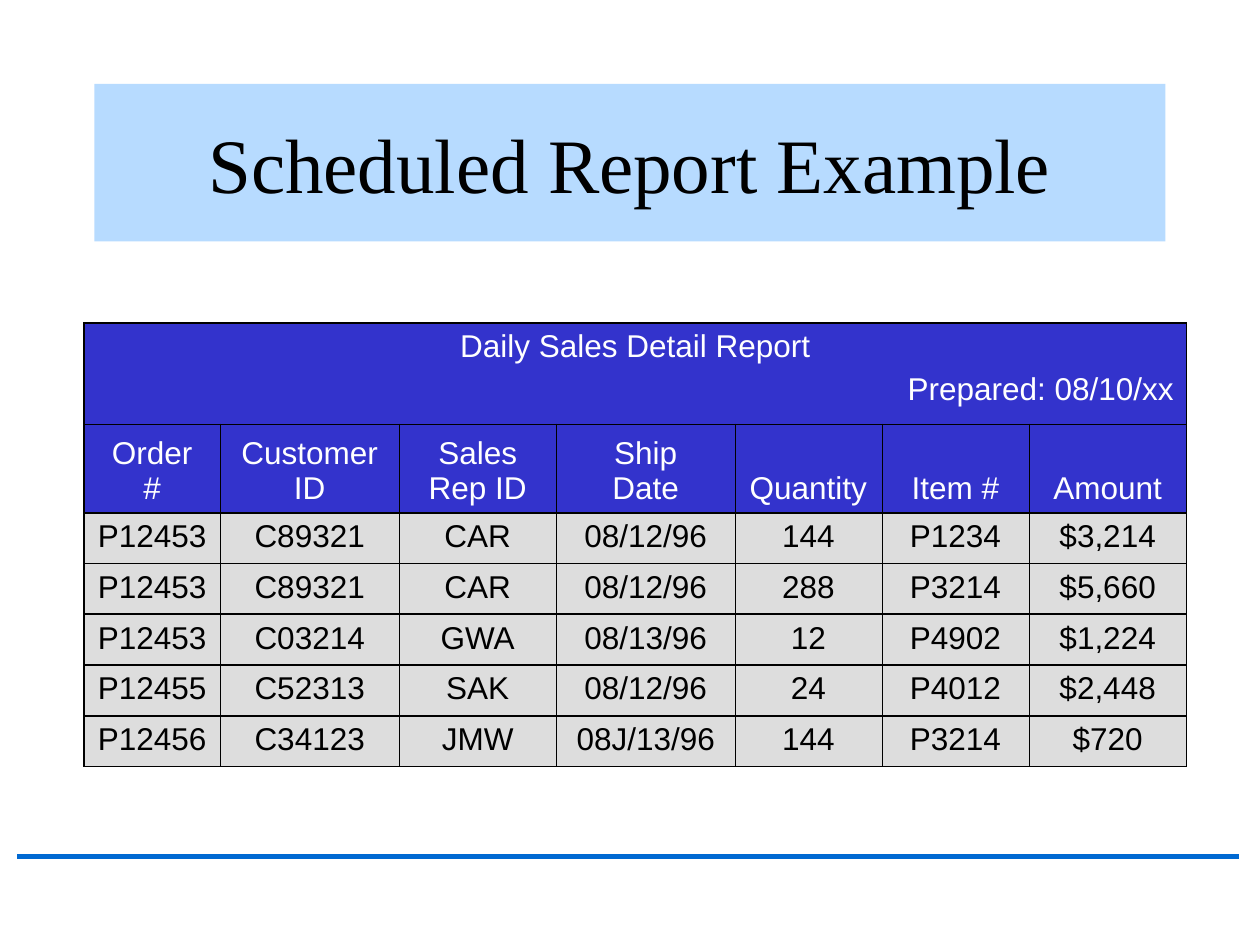
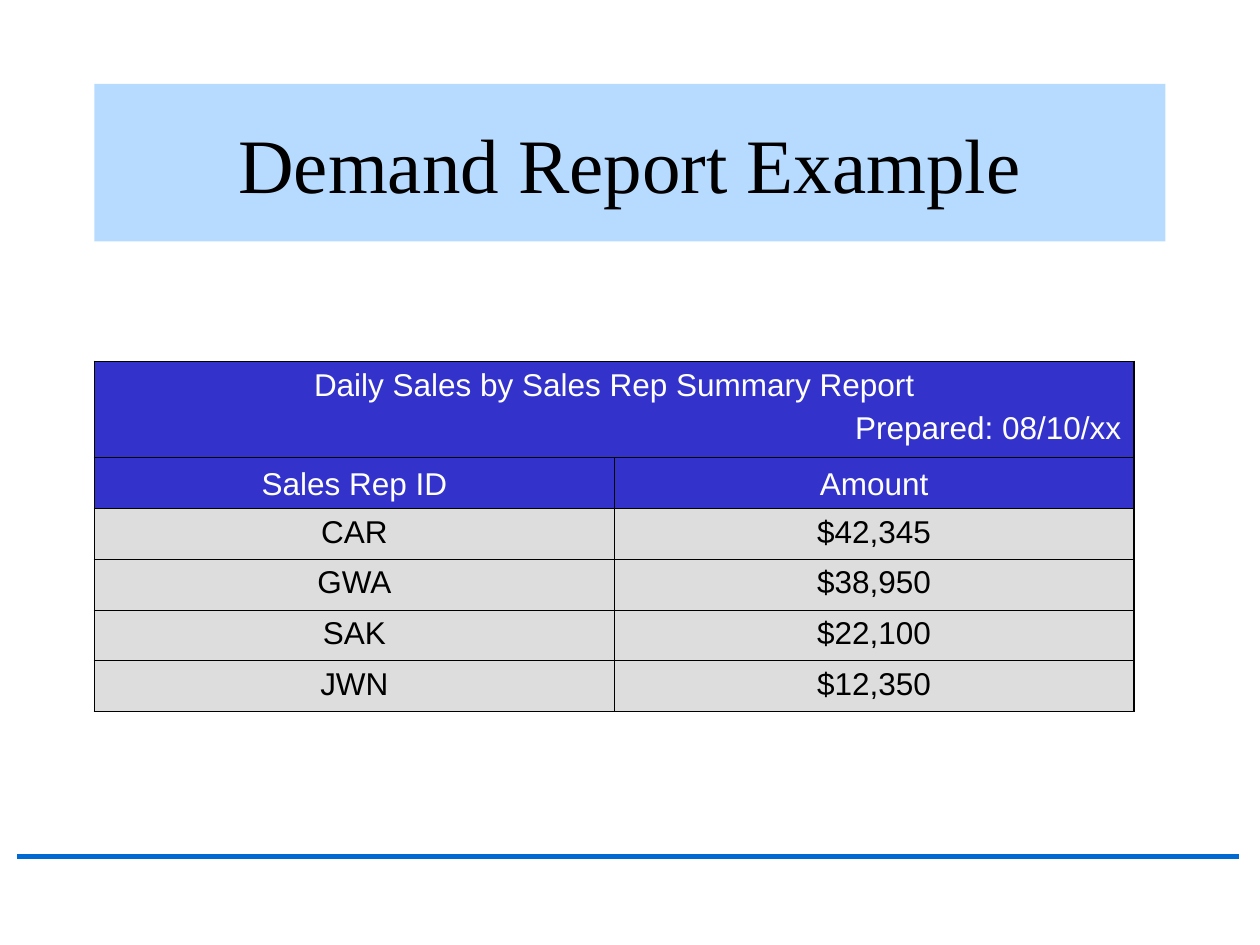
"""Build two slides that show a scheduled and a demand sales report."""
from dataclasses import dataclass

from lxml.etree import SubElement
from pptx import Presentation
from pptx.dml.color import RGBColor as RGB
from pptx.enum.shapes import MSO_CONNECTOR as Connector, MSO_SHAPE as Preset
from pptx.enum.text import MSO_ANCHOR as Anchor, PP_ALIGN as Align
from pptx.oxml.ns import qn
from pptx.util import Pt


@dataclass(frozen=True)
class Theme:
    """Colours, fonts, type sizes and rule widths of the presentation."""
    ink: str = "000000"
    paper: str = "FFFFFF"
    title_band: str = "B7DBFF"
    footer_rule: str = "0069D2"
    heading: str = "3333CC"
    body: str = "DDDDDD"
    title_font: str = "Times New Roman"
    table_font: str = "Arial"
    title_size: float = 44
    table_size: float = 18
    space_before: float = 4.5
    thick: float = 1.08
    thin: float = 0.45


def write(paragraph, text, *, font, size, color, align=Align.CENTER, before=0):
    """Fill a paragraph with formatted text; a newline makes a line break."""
    paragraph.text = text
    paragraph.alignment = align
    paragraph.space_before = Pt(before)
    for run in paragraph.runs:
        run.font.name = font
        run.font.size = Pt(size)
        run.font.color.rgb = RGB.from_string(color)


def rule_cell(cell, color, widths):
    """Draw the cell borders from a mapping of side to width."""
    properties = cell._tc.get_or_add_tcPr()
    for side in "LRTB":
        border = SubElement(properties, qn(f"a:ln{side}"), w=str(Pt(widths[side])))
        SubElement(SubElement(border, qn("a:solidFill")), qn("a:srgbClr"), val=color)


class ReportDeck:
    """Holds the style and the current slide."""

    def __init__(self, theme):
        """Start an empty 10 by 7.5 inch presentation."""
        self.theme = theme
        self.deck = Presentation()
        self.deck.slide_width, self.deck.slide_height = Pt(720), Pt(540)

    def start(self, title):
        """Add a slide with the shared footer rule and title band."""
        self.slide = self.deck.slides.add_slide(self.deck.slide_layouts[6])
        self.footer()
        self.title(title)

    def footer(self):
        """Draw the rule at the foot of the slide."""
        rule = self.slide.shapes.add_connector(
            Connector.STRAIGHT, Pt(10), Pt(489.5), Pt(708), Pt(489.5))
        rule.line.color.rgb = RGB.from_string(self.theme.footer_rule)
        rule.line.width = Pt(3)
        SubElement(rule._element.spPr, qn("a:effectLst"))

    def title(self, text):
        """Draw the title on its band."""
        theme = self.theme
        band = self.slide.shapes.add_shape(
            Preset.RECTANGLE, Pt(54), Pt(48), Pt(612), Pt(90))
        band.shadow.inherit = False
        band.fill.solid()
        band.fill.fore_color.rgb = RGB.from_string(theme.title_band)
        band.line.fill.background()
        band.text_frame.word_wrap = True
        band.text_frame.vertical_anchor = Anchor.MIDDLE
        write(band.text_frame.paragraphs[0], text, font=theme.title_font,
              size=theme.title_size, color=theme.ink)

    def report(self, caption, prepared, rows, *, left, top, widths, heights, row_rule):
        """Draw a report: a caption across all columns, headings, then data."""
        count, last = len(rows) + 1, len(widths) - 1
        table = self.slide.shapes.add_table(
            count, len(widths), Pt(left), Pt(top), Pt(sum(widths)), Pt(sum(heights))).table
        table.first_row = table.horz_banding = False
        for column, width in zip(table.columns, widths):
            column.width = Pt(width)
        for row, height in zip(table.rows, heights):
            row.height = Pt(height)
        table.cell(0, 0).merge(table.cell(0, last))
        thick, thin = self.theme.thick, self.theme.thin
        for r in range(count):
            for c in range(len(widths)):
                self.cell(table.cell(r, c), heading=r < 2, widths={
                    "L": thick if c == 0 else thin,
                    "R": thick if c == last or r == 0 else thin,
                    "T": thick if r == 0 else row_rule,
                    "B": thick if r == count - 1 else row_rule})
        self.entry(table.cell(0, 0), caption, heading=True)
        self.entry(table.cell(0, 0), prepared, heading=True, align=Align.RIGHT)
        for r, values in enumerate(rows, 1):
            for c, value in enumerate(values):
                self.entry(table.cell(r, c), value, heading=r == 1)
                if r == 1:
                    table.cell(r, c).vertical_anchor = Anchor.BOTTOM

    def cell(self, cell, *, heading, widths):
        """Give a cell its borders and fill."""
        rule_cell(cell, self.theme.ink, widths)
        cell.fill.solid()
        cell.fill.fore_color.rgb = RGB.from_string(
            self.theme.heading if heading else self.theme.body)

    def entry(self, cell, text, *, heading, align=Align.CENTER):
        """Write a line in a cell, below any that is there."""
        theme, frame = self.theme, cell.text_frame
        paragraph = frame.add_paragraph() if frame.text else frame.paragraphs[0]
        write(paragraph, text, font=theme.table_font, size=theme.table_size,
              color=theme.paper if heading else theme.ink,
              align=align, before=theme.space_before)


def main():
    """Build and save both report slides."""
    theme = Theme()
    reports = ReportDeck(theme)
    prepared = "Prepared: 08/10/xx"

    reports.start("Scheduled Report Example")
    orders = [
        ("Order\n#", "Customer\nID", "Sales Rep ID", "Ship\nDate",
         "Quantity", "Item #", "Amount"),
        ("P12453", "C89321", "CAR", "08/12/96", "144", "P1234", "$3,214"),
        ("P12453", "C89321", "CAR", "08/12/96", "288", "P3214", "$5,660"),
        ("P12453", "C03214", "GWA", "08/13/96", "12", "P4902", "$1,224"),
        ("P12455", "C52313", "SAK", "08/12/96", "24", "P4012", "$2,448"),
        ("P12456", "C34123", "JMW", "08J/13/96", "144", "P3214", "$720"),
    ]
    reports.report("Daily Sales Detail Report", prepared, orders,
                   left=48, top=184.5, widths=[78, 102, 90, 102, 84, 84, 90],
                   heights=[58, 50.5] + [29] * 5, row_rule=theme.thick)

    reports.start("Demand Report Example")
    totals = [
        ("Sales Rep ID", "Amount"),
        ("CAR", "$42,345"),
        ("GWA", "$38,950"),
        ("SAK", "$22,100"),
        ("JWN", "$12,350"),
    ]
    reports.report("Daily Sales by Sales Rep Summary Report", prepared, totals,
                   left=54, top=206.5, widths=[297] * 2,
                   heights=[55] + [29] * 5, row_rule=theme.thin)

    reports.deck.save("out.pptx")


main()
